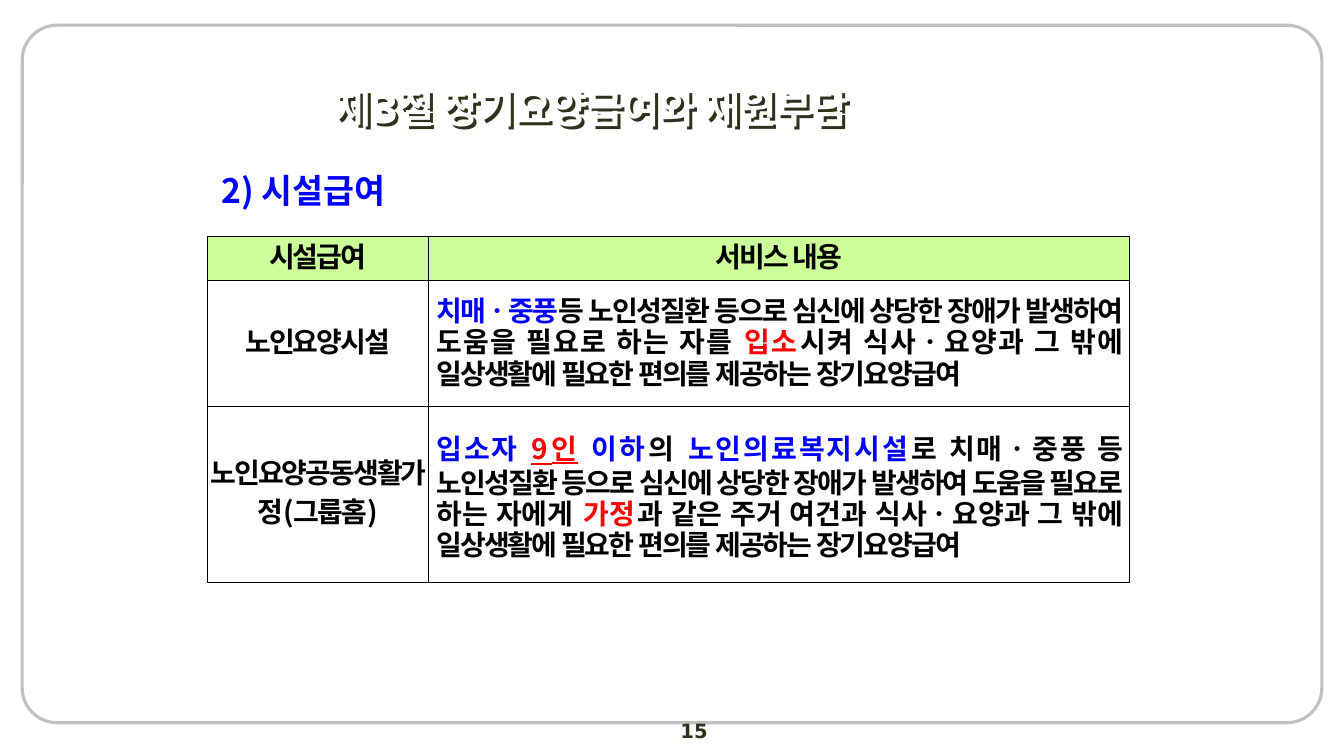
from lxml import etree
from pptx import Presentation
from pptx.dml.color import RGBColor
from pptx.enum.shapes import MSO_SHAPE
from pptx.enum.text import MSO_ANCHOR, PP_ALIGN
from pptx.oxml.ns import qn
from pptx.util import Pt

PX = 9144  # EMU per px, 100 px to the inch

WHITE = RGBColor(0xFF, 0xFF, 0xFF)
BLACK = RGBColor(0x00, 0x00, 0x00)
BLUE = RGBColor(0x00, 0x00, 0xFF)
RED = RGBColor(0xFF, 0x00, 0x00)
GREEN = RGBColor(0xCC, 0xFF, 0x99)
GRAY = RGBColor(0xC0, 0xC0, 0xC0)
OLIVE = RGBColor(0x30, 0x31, 0x1D)

ROUND = MSO_SHAPE.ROUNDED_RECTANGLE
MIDDLE, TOP = MSO_ANCHOR.MIDDLE, MSO_ANCHOR.TOP
LEFT, CENTER, JUSTIFY = PP_ALIGN.LEFT, PP_ALIGN.CENTER, PP_ALIGN.JUSTIFY

SANS, ARIAL, NOTO = "DejaVu Sans", "Arial", "Noto Sans CJK KR"

COLS = (220, 695)
ROWS = (44, 125, 175)
HEADS = ("시설급여", "서비스 내용")
# Each run: text, colour, and optionally a font
BODY = (
    (
        [("노인요양시설", BLACK, ARIAL)],
        [
            ("치매ㆍ중풍", BLUE),
            ("등 노인성질환 등으로 심신에 상당한 장애가 발생하여 도움을 필요로 하는 자를 ", BLACK),
            ("입소", RED),
            ("시켜 식사ㆍ요양과 그 밖에 일상생활에 필요한 편의를 제공하는 장기요양급여", BLACK),
        ],
    ),
    (
        [("노인요양공동생활가정", BLACK, ARIAL), ("(", BLACK),
         ("그룹홈", BLACK, ARIAL), (")", BLACK)],
        [
            ("입소자 ", BLUE),
            ("9인", RED),
            (" 이하", BLUE),
            ("의 ", BLACK),
            ("노인의료복지시설", BLUE),
            ("로 치매ㆍ중풍 등 노인성질환 등으로 심신에 상당한 장애가 발생하여 도움을 필요로 하는 자에게 ", BLACK),
            ("가정", RED),
            ("과 같은 주거 여건과 식사ㆍ요양과 그 밖에 일상생활에 필요한 편의를 제공하는 장기요양급여", BLACK),
        ],
    ),
)
LINED = "9인"


def scale(*sizes):
    return [size * PX for size in sizes]


def add_frame(slide, box):
    frame = slide.shapes.add_shape(ROUND, *scale(*box))
    frame.adjustments[0] = 0.05
    frame.shadow.inherit = False
    frame.fill.background()
    frame.line.color.rgb = GRAY
    frame.line.width = Pt(2.25)


def add_label(slide, box, text, size, color, font, align, anchor=TOP, wrap=True):
    label = slide.shapes.add_textbox(*scale(*box))
    frame = label.text_frame
    frame.word_wrap = wrap
    frame.vertical_anchor = anchor
    line = frame.paragraphs[0]
    line.alignment = align
    run = line.add_run()
    run.text = text
    run.font.size = Pt(size)
    run.font.bold = True
    run.font.name = font
    run.font.color.rgb = color
    return label


def add_shadow(label, color):
    """Put a hard shadow behind the letters of an unfilled label."""
    label.shadow.inherit = False
    effect = label._element.spPr.find(qn("a:effectLst"))
    shade = etree.SubElement(effect, qn("a:outerShdw"), dist="35921",
                             dir="2700000", algn="ctr", rotWithShape="0")
    etree.SubElement(shade, qn("a:srgbClr"), val=str(color))


def set_border(cell):
    props = cell._tc.get_or_add_tcPr()
    for spot, side in enumerate(("lnL", "lnR", "lnT", "lnB")):
        line = etree.Element(qn("a:" + side), w="3556")
        fill = etree.SubElement(line, qn("a:solidFill"))
        etree.SubElement(fill, qn("a:srgbClr"), val=str(BLACK))
        props.insert(spot, line)


def fill_cell(cell, runs, align, pad, color=None):
    cell.vertical_anchor = MIDDLE
    cell.margin_left = cell.margin_right = pad * PX
    cell.margin_top = cell.margin_bottom = 2 * PX
    if color is None:
        cell.fill.background()
    else:
        cell.fill.solid()
        cell.fill.fore_color.rgb = color
    set_border(cell)
    line = cell.text_frame.paragraphs[0]
    line.alignment = align
    for text, ink, *font in runs:
        run = line.add_run()
        run.text = text
        run.font.size = Pt(20)
        run.font.bold = True
        run.font.name = font[0] if font else NOTO
        run.font.color.rgb = ink
        if text == LINED:
            run.font.underline = True
        props = run._r.get_or_add_rPr()
        props.set("spc", "-150")
        east = etree.Element(qn("a:ea"), typeface=ARIAL)
        props.find(qn("a:latin")).addnext(east)


def add_grid(slide, left, top):
    shape = slide.shapes.add_table(
        len(ROWS), len(COLS), *scale(left, top, sum(COLS), sum(ROWS)))
    table = shape.table
    table.first_row = table.horz_banding = False
    for col, width in zip(table.columns, scale(*COLS)):
        col.width = width
    for row, height in zip(table.rows, scale(*ROWS)):
        row.height = height
    for spot, head in enumerate(HEADS):
        fill_cell(table.cell(0, spot), [(head, BLACK, ARIAL)], CENTER, 2, GREEN)
    for spot, (name, detail) in enumerate(BODY, 1):
        fill_cell(table.cell(spot, 0), name, CENTER, 2)
        fill_cell(table.cell(spot, 1), detail, JUSTIFY, 8)


def main():
    deck = Presentation()
    deck.slide_width, deck.slide_height = scale(1333, 750)
    slide = deck.slides.add_slide(deck.slide_layouts[6])
    add_frame(slide, (22, 25, 1289, 692))
    add_label(slide, (533, 708, 311, 27), "15", 14, OLIVE, SANS, CENTER)
    title = add_label(slide, (323, 78, 800, 58), "제3절 장기요양급여와 재원부담",
                      28, WHITE, SANS, LEFT, MIDDLE)
    add_shadow(title, OLIVE)
    add_label(slide, (210, 164, 211, 50), "2) 시설급여", 24, BLUE, NOTO, LEFT,
              wrap=False)
    add_grid(slide, 205, 234)
    deck.save("out.pptx")


if __name__ == "__main__":
    main()
